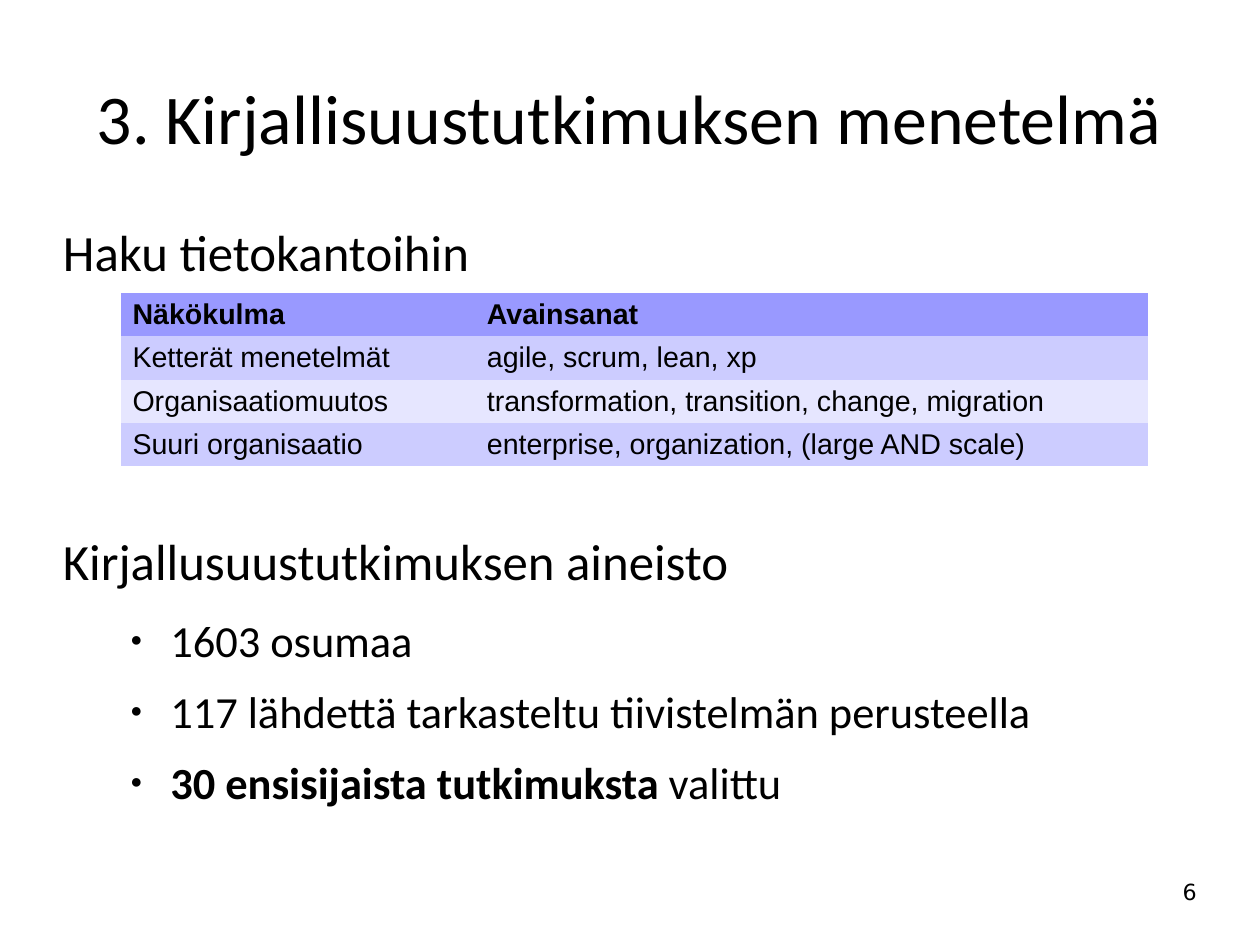
"""Build the slide on the method of the literature study."""
from lxml.etree import SubElement
from pptx import Presentation
from pptx.dml.color import RGBColor
from pptx.enum.text import MSO_ANCHOR, MSO_AUTO_SIZE, PP_ALIGN
from pptx.oxml.ns import qn
from pptx.util import Cm, Inches, Pt

BLACK = RGBColor(0x00, 0x00, 0x00)
HEADER = RGBColor(0x99, 0x99, 0xFF)
BAND_DARK = RGBColor(0xCC, 0xCC, 0xFF)
BAND_LIGHT = RGBColor(0xE6, 0xE6, 0xFF)
PLAIN_TABLE_STYLE = "{2D5ABB26-0587-4C30-8999-92F81FD0307C}"

MARGIN, CONTENT_WIDTH = 0.55, 9.92
COLUMN_WIDTHS = [3.1, 5.88]
ROW_HEIGHT = 0.38

SEARCH_TERMS = [
    ("Näkökulma", "Avainsanat"),
    ("Ketterät menetelmät", "agile, scrum, lean, xp"),
    ("Organisaatiomuutos", "transformation, transition, change, migration"),
    ("Suuri organisaatio", "enterprise, organization, (large AND scale)"),
]
MATERIAL = [
    ("", "1603 osumaa"),
    ("", "117 lähdettä tarkasteltu tiivistelmän perusteella"),
    ("30 ensisijaista tutkimuksta", " valittu"),
]


def place(box, left, top, width, height, anchor=MSO_ANCHOR.TOP):
    """Position a text box, clear its insets and return its text frame."""
    box.left, box.top = Inches(left), Inches(top)
    box.width, box.height = Inches(width), Inches(height)
    frame = box.text_frame
    frame.margin_left = frame.margin_right = frame.margin_top = frame.margin_bottom = 0
    frame.word_wrap = True
    frame.auto_size = MSO_AUTO_SIZE.NONE
    frame.vertical_anchor = anchor
    return frame


def style(para, size, font="Calibri", align=PP_ALIGN.LEFT, after=0):
    """Format a paragraph and all its runs."""
    para.alignment = align
    para.line_spacing = 1.0
    para.space_before, para.space_after = Pt(0), Pt(after)
    for span in para.runs:
        span.font.size, span.font.name = Pt(size), font
        span.font.color.rgb = BLACK


deck = Presentation()
deck.slide_width, deck.slide_height = Cm(28), Cm(21)
page = deck.slides.add_slide(deck.slide_layouts[3])
title, search_box, material_box = list(page.placeholders)[:3]

frame = place(title, MARGIN, 0.38, CONTENT_WIDTH, 1.28, MSO_ANCHOR.MIDDLE)
frame.text = "3. Kirjallisuustutkimuksen menetelmä"
style(frame.paragraphs[0], 44, align=PP_ALIGN.CENTER)

sections = [
    (search_box, 1.93, 0.54, "Haku tietokantoihin"),
    (material_box, 4.63, 2.48, "Kirjallusuustutkimuksen aineisto"),
]
for box, top, height, heading in sections:
    frame = place(box, MARGIN, top, CONTENT_WIDTH, height)
    frame.text = heading
    para = frame.paragraphs[0]
    properties = para._p.get_or_add_pPr()
    properties.set("marL", "0")
    properties.set("indent", "0")
    SubElement(properties, qn("a:buNone"))
    style(para, 32, after=14.2)

for strong, plain in MATERIAL:
    para = material_box.text_frame.add_paragraph()
    para.level = 1
    properties = para._p.get_or_add_pPr()
    properties.set("marL", str(Inches(0.94)))
    properties.set("indent", str(Inches(-0.35)))
    bullet_color = SubElement(properties, qn("a:buClr"))
    SubElement(bullet_color, qn("a:srgbClr"), val=str(BLACK))
    SubElement(properties, qn("a:buSzPct"), val="45000")
    SubElement(properties, qn("a:buChar"), char="●")
    for text, bold in ((strong, True), (plain, False)):
        if text:
            span = para.add_run()
            span.text = text
            span.font.bold = bold
    style(para, 28, after=11.3)

table = page.shapes.add_table(
    len(SEARCH_TERMS), len(COLUMN_WIDTHS), Inches(1.06), Inches(2.56),
    Inches(sum(COLUMN_WIDTHS)), Inches(ROW_HEIGHT * len(SEARCH_TERMS))).table
table._tbl.tblPr.find(qn("a:tableStyleId")).text = PLAIN_TABLE_STYLE
for column, width in zip(table.columns, COLUMN_WIDTHS):
    column.width = Inches(width)
for row, terms in enumerate(SEARCH_TERMS):
    table.rows[row].height = Inches(ROW_HEIGHT)
    for column, term in enumerate(terms):
        cell = table.cell(row, column)
        cell.fill.solid()
        cell.fill.fore_color.rgb = HEADER if row == 0 else (BAND_LIGHT, BAND_DARK)[row % 2]
        cell.text = term
        para = cell.text_frame.paragraphs[0]
        style(para, 18, "Arial")
        para.runs[0].font.bold = row == 0

number_box = page.shapes.add_textbox(0, 0, 0, 0)
frame = place(number_box, 7.9, 7.68, 2.57, 0.42)
frame.text = "6"
style(frame.paragraphs[0], 14, "DejaVu Sans", PP_ALIGN.RIGHT)

deck.save("out.pptx")
